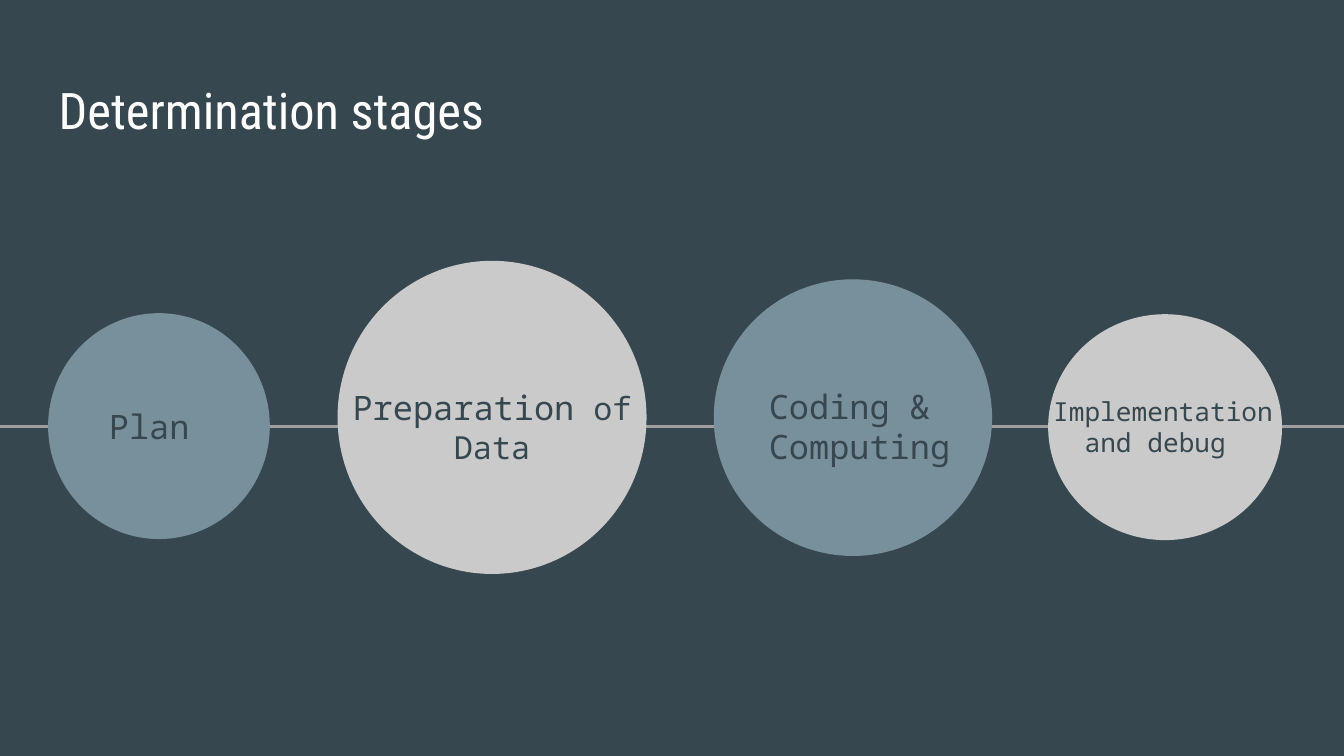
"""Build the slide showing the determination stages along a line."""
from dataclasses import dataclass

import pptx
import pptx.dml.color
import pptx.enum.shapes
import pptx.enum.text
import pptx.oxml
import pptx.util

Cm = pptx.util.Cm
ALIGN = pptx.enum.text.PP_ALIGN
ANCHOR = pptx.enum.text.MSO_ANCHOR


@dataclass(frozen=True)
class Theme:
    background: str = "37474F"
    title: str = "FFFFFF"
    label: str = "37474F"
    axis: str = "9E9E9E"
    blue: str = "78909C"
    grey: str = "CACACA"
    title_font: str = "Roboto Condensed"
    label_font: str = "Noto Sans Mono"
    title_size: int = 27
    large: int = 18
    medium: int = 17
    small: int = 14


@dataclass(frozen=True)
class Stage:
    circle: tuple
    fill: str
    label_left: float
    label_width: float
    runs: tuple
    align: ALIGN = ALIGN.CENTER
    left_inset: float = 0.25


THEME = Theme()
SLIDE_WIDTH, SLIDE_HEIGHT = 25.4, 14.29
AXIS_Y = 8.06
LABEL_HEIGHT = 1.68
INSET = 0.25
STAGES = (
    Stage((0.91, 5.92, 4.19, 4.27), THEME.blue, 1.17, 3.68,
          (("Plan ", THEME.large),)),
    Stage((6.38, 4.93, 5.84, 5.92), THEME.grey, 5.92, 6.76,
          (("Preparation", THEME.large), (" of Data", THEME.medium))),
    Stage((13.49, 5.28, 5.26, 5.23), THEME.blue, 14.15, 4.19,
          (("Coding & Computing", THEME.large),), ALIGN.LEFT, 0.38),
    Stage((19.81, 5.94, 4.42, 4.27), THEME.grey, 19.56, 4.85,
          (("Implementation and debug ", THEME.small),)),
)


def rgb(value):
    return pptx.dml.color.RGBColor.from_string(value)


def set_frame(frame, anchor, left_inset=INSET):
    frame.word_wrap = True
    frame.auto_size = pptx.enum.text.MSO_AUTO_SIZE.NONE
    frame.vertical_anchor = anchor
    frame.margin_left = Cm(left_inset)
    frame.margin_top = frame.margin_right = frame.margin_bottom = Cm(INSET)


def set_title(slide, text):
    title = slide.shapes.title
    title.left, title.top = Cm(0.86), Cm(1.24)
    title.width, title.height = Cm(23.67), Cm(1.6)
    set_frame(title.text_frame, ANCHOR.TOP)
    heading = title.text_frame.paragraphs[0]
    heading.text = text
    heading.alignment = ALIGN.LEFT
    heading.font.name = THEME.title_font
    heading.font.size = pptx.util.Pt(THEME.title_size)
    heading.font.color.rgb = rgb(THEME.title)


def add_axis(slide):
    axis = slide.shapes.add_connector(
        pptx.enum.shapes.MSO_CONNECTOR.STRAIGHT,
        Cm(0), Cm(AXIS_Y), Cm(SLIDE_WIDTH), Cm(AXIS_Y))
    axis.line.color.rgb = rgb(THEME.axis)
    axis.line.width = pptx.util.Pt(1.5)
    properties = axis._element.spPr
    properties.append(pptx.oxml.parse_xml(
        '<a:effectLst xmlns:a="http://schemas.openxmlformats.org/drawingml/2006/main"/>'))


def add_circle(slide, stage):
    circle = slide.shapes.add_shape(
        pptx.enum.shapes.MSO_SHAPE.OVAL, *map(Cm, stage.circle))
    circle.shadow.inherit = False
    circle.fill.solid()
    circle.fill.fore_color.rgb = rgb(stage.fill)
    circle.line.fill.background()


def add_label(slide, stage):
    label = slide.shapes.add_textbox(
        Cm(stage.label_left), Cm(AXIS_Y - LABEL_HEIGHT / 2),
        Cm(stage.label_width), Cm(LABEL_HEIGHT))
    set_frame(label.text_frame, ANCHOR.MIDDLE, stage.left_inset)
    caption = label.text_frame.paragraphs[0]
    caption.alignment = stage.align
    caption.font.name = THEME.label_font
    caption.font.color.rgb = rgb(THEME.label)
    for text, size in stage.runs:
        run = caption.add_run()
        run.text = text
        run.font.size = pptx.util.Pt(size)
        run.font.name = THEME.label_font
        run.font.color.rgb = rgb(THEME.label)


def main():
    presentation = pptx.Presentation()
    presentation.slide_width = Cm(SLIDE_WIDTH)
    presentation.slide_height = Cm(SLIDE_HEIGHT)
    slide = presentation.slides.add_slide(presentation.slide_layouts[5])
    slide.background.fill.solid()
    slide.background.fill.fore_color.rgb = rgb(THEME.background)
    add_axis(slide)
    set_title(slide, "Determination stages")
    for stage in STAGES:
        add_circle(slide, stage)
        add_label(slide, stage)
    presentation.save("out.pptx")


if __name__ == "__main__":
    main()
